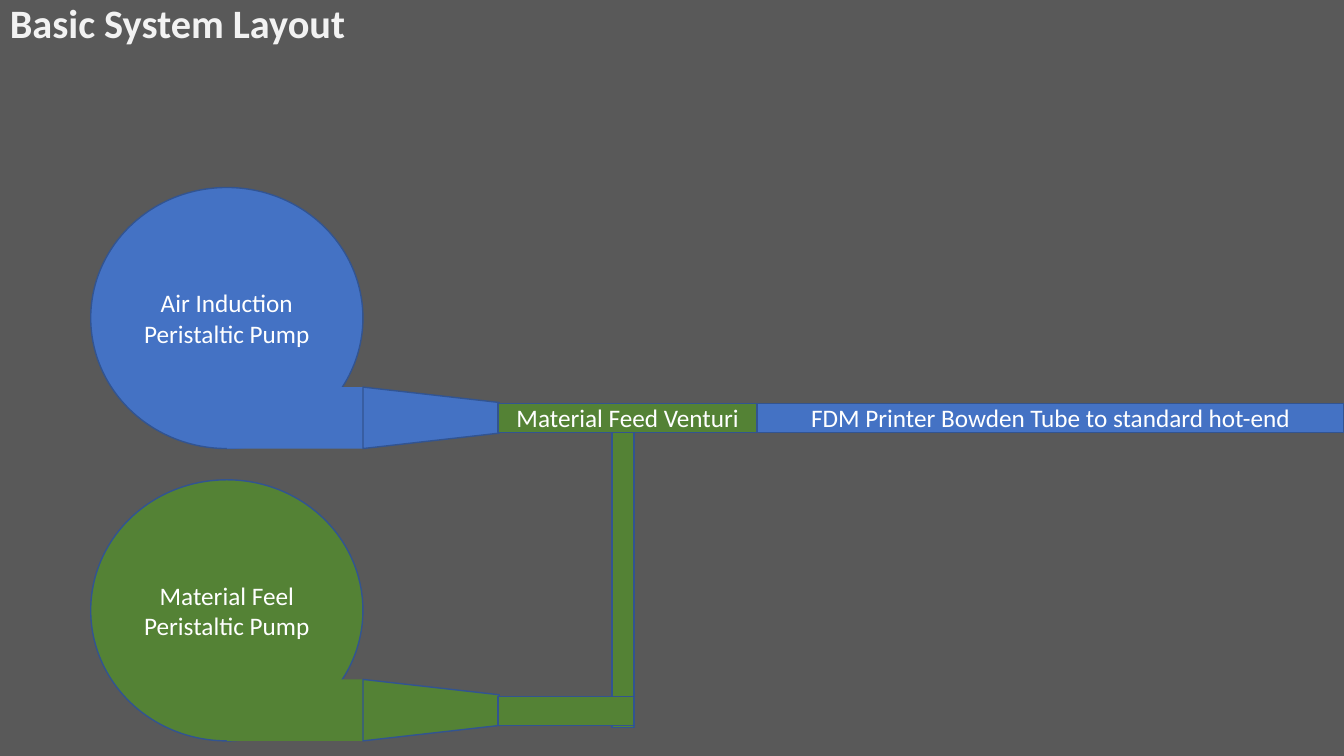
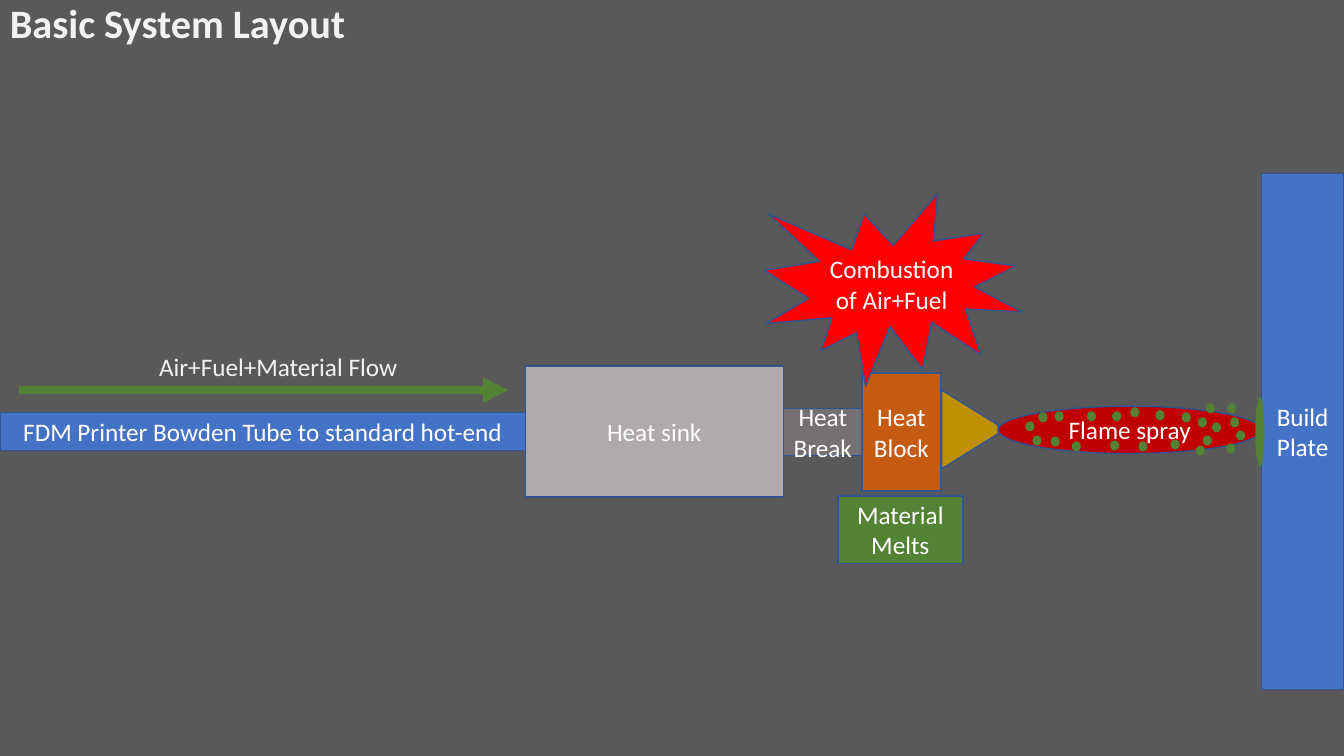
from pptx import Presentation
from pptx.dml.color import RGBColor
from pptx.enum import shapes, text
from pptx.oxml.ns import qn
from pptx.util import Emu, Pt
from lxml import etree

PX = 9144  # 100 px to the inch
WIDE, HIGH = 1333, 750
FONT = "Calibri"
BACK, PALE, WHITE = "595959", "F2F2F2", "FFFFFF"
BLUE, GREEN, EDGE = "4472C4", "548235", "325491"
SILVER, GRAY, RUST, GOLD = "AFABAB", "767171", "C55A11", "BF9000"
RED, FLAME = "FF0000", "C00000"
TUBE = "FDM Printer Bowden Tube to standard hot-end"

KIND = shapes.MSO_SHAPE
RECT, OVAL, TRAP = KIND.RECTANGLE, KIND.OVAL, KIND.TRAPEZOID

# Droplets: left and top, relative to the flame
DROPS = [(40, 6), (52, 30), (27, 15), (34, 29), (56, 5), (73, 35), (88, 5),
         (111, 34), (131, 1), (139, 35), (156, 4), (113, 5), (171, 33),
         (182, 6), (196, 39), (198, 11), (206, -3), (203, 29), (212, 16),
         (227, -3), (230, 11), (236, 24), (226, 37)]


def px(*sizes):
    return [Emu(size * PX) for size in sizes]


def color(code):
    return RGBColor.from_string(code)


def write(frame, words, hue=WHITE, size=18, bold=False, align=None):
    frame.word_wrap = True
    frame.text = words
    for para in frame.paragraphs:
        para.alignment = align
        for run in para.runs:
            font = run.font
            font.name, font.size, font.bold = FONT, Pt(size), bold
            font.color.rgb = color(hue)


def part(slide, box, fill, words="", kind=RECT, edge=EDGE):
    shape = slide.shapes.add_shape(kind, *px(*box))
    shape.shadow.inherit = False
    shape.fill.solid()
    shape.fill.fore_color.rgb = color(fill)
    if edge:
        shape.line.color.rgb = color(edge)
        shape.line.width = Pt(1)
    else:
        shape.line.fill.background()
    if words:
        shape.text_frame.vertical_anchor = text.MSO_ANCHOR.MIDDLE
        write(shape.text_frame, words, align=text.PP_ALIGN.CENTER)
    return shape


def label(slide, box, words, **style):
    area = slide.shapes.add_textbox(*px(*box))
    write(area.text_frame, words, **style)
    return area.text_frame


def cone(slide, box, fill, slope=0.25):
    """Trapezoid that narrows to the right and fills the box."""
    x, y, w, h = box
    turned = (x + (w - h) / 2, y + (h - w) / 2, h, w)
    shape = part(slide, [round(side) for side in turned], fill, kind=TRAP)
    shape.adjustments[0] = slope
    shape.rotation = 90


def pump(slide, box, fill, words):
    x, y, w, h = box
    half, spout = w // 2, 61
    low = y + h - spout
    part(slide, box, fill, words, OVAL)
    part(slide, (x + half, low, half, spout), fill, edge=None)
    cone(slide, (x + w, low, half, spout), fill)


def arrow(slide, start, end, fill, width):
    line = slide.shapes.add_connector(
        shapes.MSO_CONNECTOR.STRAIGHT, *px(*start, *end))
    line.line.color.rgb = color(fill)
    line.line.width = Pt(width)
    etree.SubElement(line.line._get_or_add_ln(), qn("a:tailEnd"),
                     type="triangle")
    etree.SubElement(line._element.spPr, qn("a:effectLst"))


def spray(slide, box):
    x, y, w, h = box
    part(slide, box, FLAME, "Flame spray", OVAL)
    for dx, dy in DROPS:
        part(slide, (x + dx, y + dy, 9, 10), GREEN, kind=OVAL, edge=None)


def base(deck, title):
    slide = deck.slides.add_slide(deck.slide_layouts[6])
    slide.background.fill.solid()
    slide.background.fill.fore_color.rgb = color(BACK)
    frame = label(slide, (0, 2, WIDE, 47), title,
                  hue=PALE, size=28.8, bold=True)
    frame.vertical_anchor = text.MSO_ANCHOR.MIDDLE
    frame.paragraphs[0].line_spacing = 0.9
    return slide


def feed(deck):
    slide = base(deck, "Basic System Layout")
    # Air line
    pump(slide, (90, 186, 270, 259), BLUE, "Air Induction\nPeristaltic Pump")
    part(slide, (494, 400, 257, 29), GREEN, "Material Feed Venturi")
    part(slide, (751, 400, WIDE - 751, 29), BLUE, TUBE)
    # Material line, rising into the venturi
    part(slide, (607, 429, 22, 293), GREEN)
    pump(slide, (90, 476, 270, 259), GREEN, "Material Feel Peristaltic Pump")
    part(slide, (494, 691, 135, 29), GREEN)


def nozzle(deck):
    slide = base(deck, "Basic System Layout")
    # Hot end, from left to right along one axis
    axis, x = 428, 0
    for w, h, fill, words in [(521, 38, BLUE, TUBE),
                              (256, 130, SILVER, "Heat sink"),
                              (78, 47, GRAY, "Heat Break"),
                              (78, 117, RUST, "Heat Block")]:
        part(slide, (x, axis - h // 2, w, h), fill, words)
        x += w
    cone(slide, (934, 387, 56, 78), GOLD, 0.62)
    # Spray and target
    spray(slide, (990, 403, 261, 47))
    part(slide, (1251, 172, 82, 512), BLUE, "Build Plate")
    part(slide, (1245, 394, 9, 69), GREEN, kind=OVAL, edge=None)
    # Flow and notes
    arrow(slide, (19, 387), (504, 387), GREEN, 6)
    label(slide, (148, 344, 333, 40), "Air+Fuel+Material Flow", hue=PALE)
    part(slide, (758, 192, 256, 191), RED, "Combustion of Air+Fuel",
         KIND.EXPLOSION1)
    part(slide, (831, 492, 124, 67), GREEN, "Material Melts")


def main():
    deck = Presentation()
    deck.slide_width, deck.slide_height = px(WIDE, HIGH)
    feed(deck)
    nozzle(deck)
    deck.save("out.pptx")


if __name__ == "__main__":
    main()
